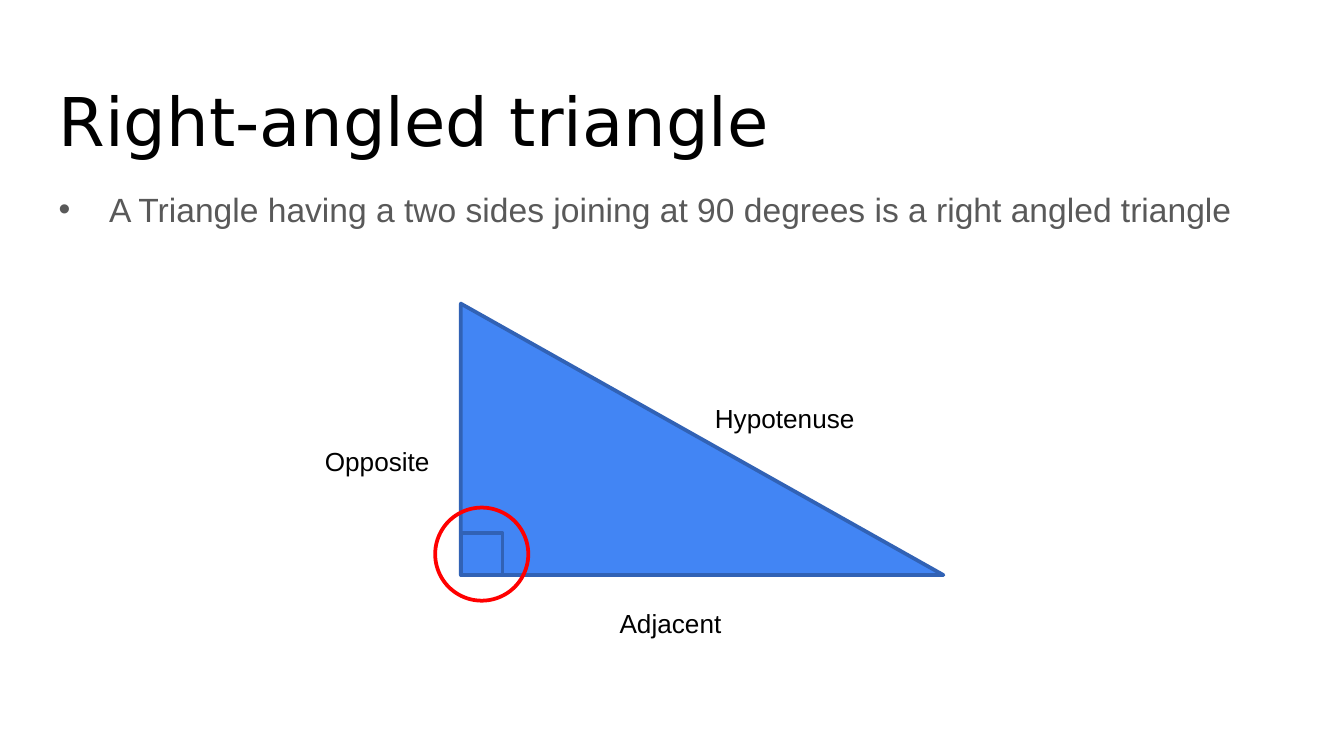
from lxml import etree
from pptx import Presentation
from pptx.dml.color import RGBColor
from pptx.enum.shapes import MSO_SHAPE
from pptx.enum.text import MSO_ANCHOR, MSO_AUTO_SIZE, PP_ALIGN
from pptx.oxml.ns import qn
from pptx.util import Cm, Pt

TRIANGLE, SQUARE, CIRCLE = MSO_SHAPE.RIGHT_TRIANGLE, MSO_SHAPE.RECTANGLE, MSO_SHAPE.OVAL
TOP, LEFT = MSO_ANCHOR.TOP, PP_ALIGN.LEFT
NO_FIT, GROW = MSO_AUTO_SIZE.NONE, MSO_AUTO_SIZE.SHAPE_TO_FIT_TEXT

COLORS = {"black": "000000", "grey": "595959", "blue": "4285F4",
          "outline": "3162B5", "red": "FF0000"}

# Content: lengths in cm
TITLE = "Right-angled triangle"
BULLET = "A Triangle having a two sides joining at 90 degrees is a right angled triangle"
SIDE_LABELS = [  # text, left, top, width
    ("Opposite", 5.89, 8.28, 2.51),
    ("Adjacent", 11.46, 11.35, 2.44),
    ("Hypotenuse", 13.26, 7.47, 3.18),
]
CORNER_X, CORNER_Y = 8.71, 10.87  # the right angle
BASE, HEIGHT = 9.12, 5.13
MARK, RING = 0.79, 1.76
MARGIN, TEXT_WIDTH, TEXT_HEIGHT = 0.86, 23.67, 1.6
INSET = 0.25


def color(name):
    return RGBColor.from_string(COLORS[name])


def write(box, text, font, size, ink, fit):
    frame = box.text_frame
    frame.auto_size = fit
    frame.vertical_anchor = TOP
    frame.margin_left = frame.margin_right = Cm(INSET)
    frame.margin_top = frame.margin_bottom = Cm(INSET)
    frame.text = text
    para = frame.paragraphs[0]
    para.alignment = LEFT
    para.space_before = Pt(0)
    para.font.name, para.font.size = font, Pt(size)
    para.font.color.rgb = color(ink)
    return para


def place(box, left, top, width, height):
    box.left, box.top, box.width, box.height = map(Cm, (left, top, width, height))


def add_bullet(para, ink):
    props = para._p.get_or_add_pPr()
    props.set("marL", str(Cm(1.27)))
    props.set("indent", str(Cm(-0.95)))
    tint = etree.SubElement(props, qn("a:buClr"))
    etree.SubElement(tint, qn("a:srgbClr"), val=COLORS[ink])
    etree.SubElement(props, qn("a:buFont"), typeface="Arial")
    etree.SubElement(props, qn("a:buChar"), char="●")


def draw(page, kind, left, top, width, height, fill, line):
    shape = page.shapes.add_shape(kind, Cm(left), Cm(top), Cm(width), Cm(height))
    shape.shadow.inherit = False
    if fill:
        shape.fill.solid()
        shape.fill.fore_color.rgb = color(fill)
    else:
        shape.fill.background()
    shape.line.color.rgb = color(line)
    shape.line.width = Pt(2)
    etree.SubElement(shape.line._get_or_add_ln(), qn("a:round"))


deck = Presentation()
deck.slide_width, deck.slide_height = Cm(25.4), Cm(14.29)
page = deck.slides.add_slide(deck.slide_layouts[1])
title, body = page.placeholders

# Title and definition
place(title, MARGIN, 1.24, TEXT_WIDTH, TEXT_HEIGHT)
write(title, TITLE, "DejaVu Sans", 36, "black", NO_FIT)
place(body, MARGIN, 3.2, TEXT_WIDTH, TEXT_HEIGHT)
body.text_frame.text = BULLET
add_bullet(body.text_frame.paragraphs[0], "grey")
definition = write(body, BULLET, "Arial", 18, "grey", NO_FIT)
definition.line_spacing = 1.15

# Triangle
draw(page, TRIANGLE, CORNER_X, CORNER_Y - HEIGHT, BASE, HEIGHT, "blue", "outline")

# Side names
for text, left, top, width in SIDE_LABELS:
    label = page.shapes.add_textbox(Cm(left), Cm(top), Cm(width), Cm(0.86))
    write(label, text, "Arial", 14, "black", GROW)
    label.text_frame.word_wrap = False
    label.text_frame.margin_top = label.text_frame.margin_bottom = Cm(0.13)

# Right-angle mark, ringed
draw(page, SQUARE, CORNER_X, CORNER_Y - MARK, MARK, MARK, "blue", "outline")
ring_offset = (RING - MARK) / 2
draw(page, CIRCLE, CORNER_X - ring_offset, CORNER_Y - MARK - ring_offset,
     RING, RING, None, "red")

deck.save("out.pptx")
